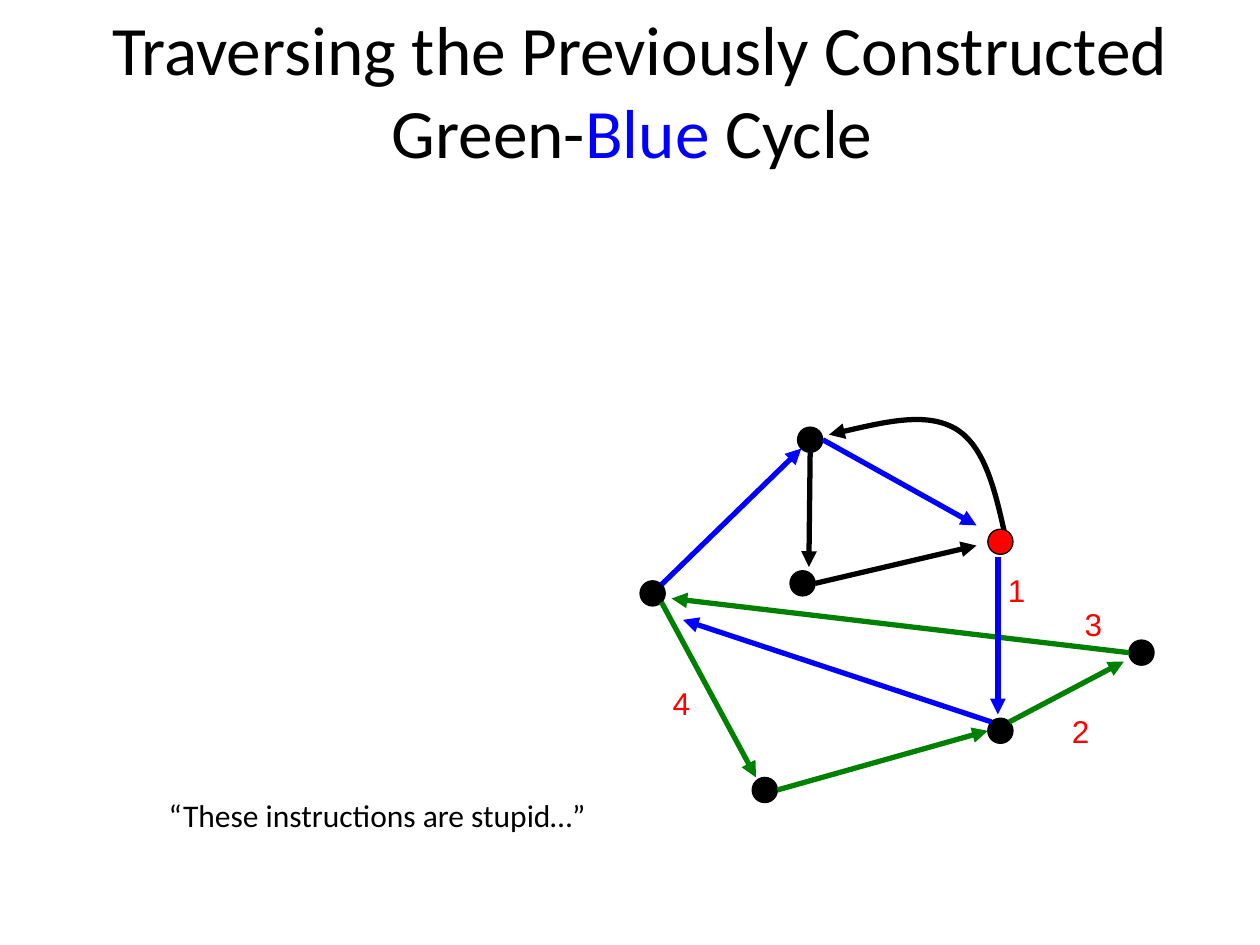
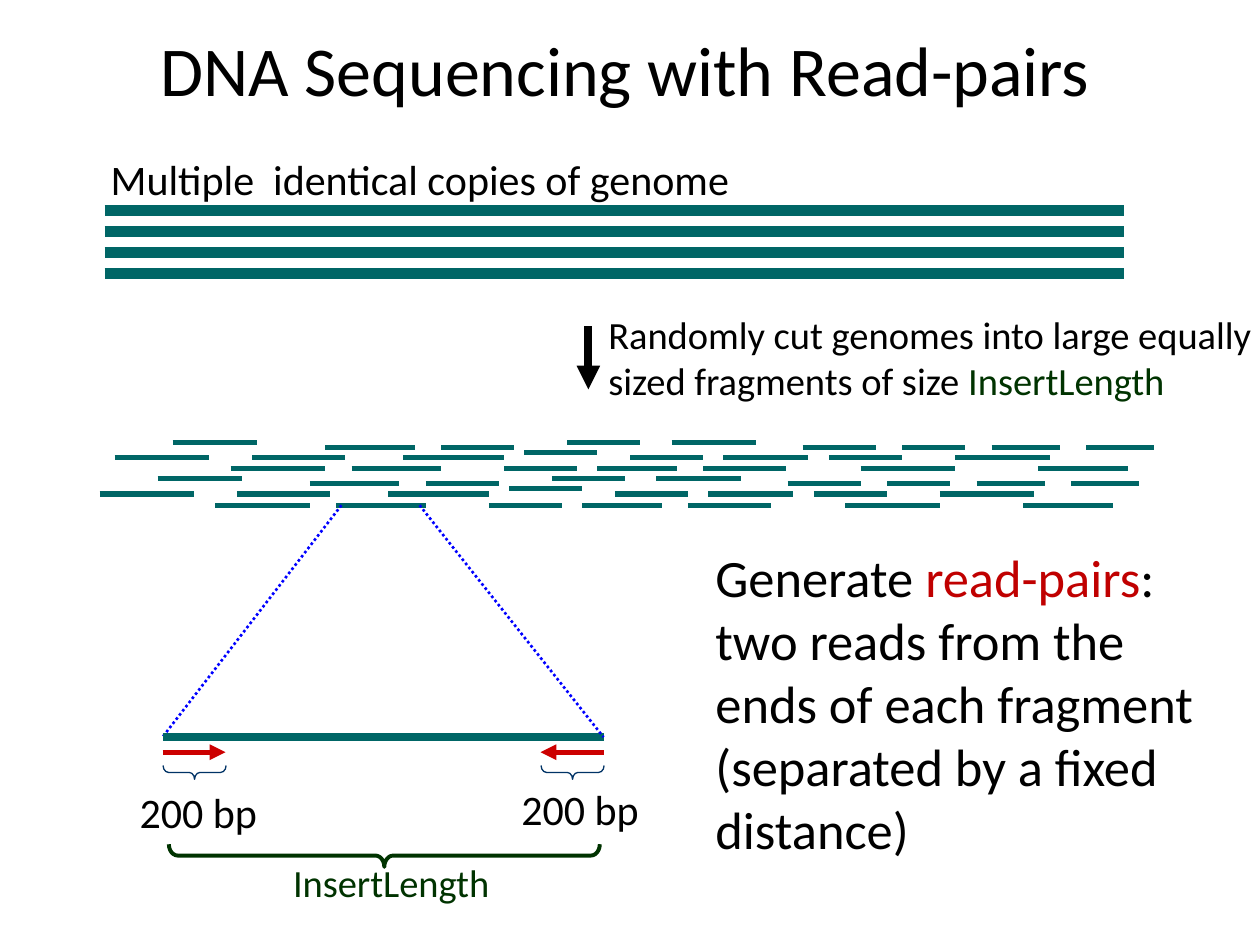
from lxml.etree import SubElement
from pptx import Presentation
from pptx.dml.color import RGBColor
from pptx.enum.dml import MSO_LINE
from pptx.enum.shapes import MSO_CONNECTOR, MSO_SHAPE
from pptx.enum.text import MSO_ANCHOR, PP_ALIGN
from pptx.oxml.ns import qn
from pptx.util import Inches, Pt

BLACK = RGBColor(0x00, 0x00, 0x00)
RED = RGBColor(0xFF, 0x00, 0x00)
GREEN = RGBColor(0x00, 0x80, 0x00)
BLUE = RGBColor(0x00, 0x00, 0xFF)
TEAL = RGBColor(0x00, 0x66, 0x66)
CRIMSON = RGBColor(0xC0, 0x00, 0x00)
READ_RED = RGBColor(0xCC, 0x00, 0x00)
NAVY = RGBColor(0x00, 0x33, 0x66)
DARK_GREEN = RGBColor(0x00, 0x33, 0x00)
TITLE = dict(align=PP_ALIGN.CENTER, anchor=MSO_ANCHOR.MIDDLE)


def add_text(s, box, runs, size, font="Calibri", color=BLACK, wrap=True,
             align=PP_ALIGN.LEFT, anchor=MSO_ANCHOR.TOP):
    tf = s.shapes.add_textbox(*map(Inches, box)).text_frame
    tf.word_wrap = wrap
    tf.vertical_anchor = anchor
    p = tf.paragraphs[0]
    p.alignment = align
    for text, run_color in [(runs, color)] if isinstance(runs, str) else runs:
        r = p.add_run()
        r.text = text
        r.font.name = font
        r.font.size = Pt(size)
        r.font.color.rgb = run_color


def add_line(s, start, end, color, width=3, arrow=False, dash=None):
    line = s.shapes.add_connector(MSO_CONNECTOR.STRAIGHT, *map(Inches, start + end))
    line.line.color.rgb = color
    line.line.width = Pt(width)
    if dash:
        line.line.dash_style = dash
    if arrow:
        SubElement(line.line._get_or_add_ln(), qn("a:tailEnd"), type="triangle")
    SubElement(line._element.spPr, qn("a:effectLst"))


prs = Presentation()
prs.slide_width = Inches(10)
prs.slide_height = Inches(7.5)
blank = prs.slide_layouts[6]

s = prs.slides.add_slide(blank)

arc = [(7.98, 4.26), (7.9, 3.9), (7.82, 3.54), (7.58, 3.4),
       (7.35, 3.27), (6.97, 3.36), (6.58, 3.45)]
points = [(Inches(x), Inches(y)) for x, y in arc]
builder = s.shapes.build_freeform(*points[0])
builder.add_line_segments(points[1:], close=False)
sp = builder.convert_to_shape()
sp.shadow.inherit = False
sp.fill.background()
sp.line.color.rgb = BLACK
sp.line.width = Pt(3)
SubElement(sp.line._get_or_add_ln(), qn("a:tailEnd"), type="triangle")
curve = next(sp._element.iter(qn("a:path")))
segments = curve.findall(qn("a:lnTo"))
for i in range(0, len(segments), 3):
    bezier = SubElement(curve, qn("a:cubicBezTo"))
    for segment in segments[i:i + 3]:
        bezier.append(segment[0])
        curve.remove(segment)

nodes = [(6.33, 3.39, BLACK), (7.84, 4.2, RED), (8.96, 5.08, BLACK), (7.84, 5.7, BLACK),
         (5.97, 6.17, BLACK), (6.27, 4.53, BLACK), (5.08, 4.61, BLACK)]
for x, y, color in nodes:
    sp = s.shapes.add_shape(MSO_SHAPE.OVAL, Inches(x), Inches(y), Inches(0.2), Inches(0.2))
    sp.shadow.inherit = False
    sp.fill.solid()
    sp.fill.fore_color.rgb = color
    sp.line.color.rgb = BLACK
    sp.line.width = Pt(0.75)

edges = [
    ((6.43, 3.59), (6.42, 4.5), BLACK),
    ((6.47, 4.63), (7.75, 4.33), BLACK),
    ((6.17, 6.27), (7.84, 5.8), GREEN),
    ((8.01, 5.73), (8.92, 5.25), GREEN),
    ((8.96, 5.18), (5.33, 4.75), GREEN),
    ((5.25, 4.78), (6, 6.17), GREEN),
    ((7.87, 5.73), (5.42, 4.92), BLUE),
    ((5.25, 4.64), (6.36, 3.56), BLUE),
    ((6.53, 3.49), (7.75, 4.17), BLUE),
    ((7.92, 4.42), (7.92, 5.67), BLUE),
]
for start, end, color in edges:
    add_line(s, start, end, color, arrow=True)

for step, x, y in [("1", 7.9, 4.48), ("2", 8.41, 5.6), ("3", 8.51, 4.75), ("4", 5.24, 5.38)]:
    add_text(s, (x, y, 0.34, 0.4), step, 18, font="Arial", color=RED, wrap=False)

add_text(s, (1.24, 6.27, 4.95, 0.51), "“These instructions are stupid…”", 18)
add_text(s, (0.58, 0.08, 9, 1.25),
         [("Traversing the Previously Constructed Green-", BLACK), ("Blue", BLUE),
          (" Cycle ", BLACK)], 39.6, **TITLE)

s = prs.slides.add_slide(blank)
add_text(s, (0.22, -0.08, 9.48, 1.25), "DNA Sequencing with Read-pairs", 40, **TITLE)

add_text(s, (0.78, 1.17, 6.51, 0.5), "Multiple  identical copies of genome", 24)
for i in range(4):
    y = 1.67 + i / 6
    add_line(s, (0.83, y), (8.92, y), TEAL, width=6)

add_line(s, (4.67, 2.59), (4.67, 3.09), BLACK, width=4.5, arrow=True)
add_text(s, (4.73, 2.42, 5.37, 1.21),
         [("Randomly cut genomes into large equally sized fragments of size ", BLACK),
          ("InsertLength", DARK_GREEN)], 22)

fragment_rows = {
    3.8: [(1.25, 1.92), (4.38, 4.96), (5.21, 5.88)],
    3.84: [(2.46, 3.17), (3.38, 3.96), (6.25, 6.83), (7.04, 7.54), (7.29, 7.54),
           (7.75, 8.29), (8.5, 9.04)],
    3.88: [(4.04, 4.62)],
    3.92: [(0.79, 1.54), (1.88, 2.62), (3.08, 3.88), (4.88, 5.46), (5.62, 6.29),
           (6.46, 7.04), (7.46, 8.21)],
    4.01: [(1.71, 2.46), (2.67, 3.38), (3.88, 4.46), (4.62, 5.25), (5.46, 6.12),
           (6.71, 7.46), (8.12, 8.83)],
}
for dx, dy in [(0, 0), (0.12, -0.29)]:
    for y, spans in fragment_rows.items():
        for left, right in spans:
            add_line(s, (left + dx, y + dy), (right + dx, y + dy), TEAL)

add_line(s, (2.71, 4.01), (1.29, 5.85), BLUE, width=1.5, dash=MSO_LINE.ROUND_DOT)
add_line(s, (1.29, 5.85), (4.79, 5.85), TEAL, width=4.5)
add_line(s, (3.33, 4.01), (4.79, 5.85), BLUE, width=1.5, dash=MSO_LINE.ROUND_DOT)

for start, end in [(1.29, 1.79), (4.79, 4.29)]:
    add_line(s, (start, 5.97), (end, 5.97), READ_RED, arrow=True)
for x, y in [(1.01, 6.19), (4.04, 6.17)]:
    add_text(s, (x, y, 1.14, 0.5), "200 bp", 24, wrap=False)

braces = [((1.49, 5.88, 0.11, 0.5), NAVY, 0.75), ((4.49, 5.88, 0.11, 0.5), NAVY, 0.75),
          ((2.96, 5.08, 0.18, 3.42), DARK_GREEN, 2.25)]
for box, color, width in braces:
    sp = s.shapes.add_shape(MSO_SHAPE.LEFT_BRACE, *map(Inches, box))
    sp.shadow.inherit = False
    sp.rotation = 270
    sp.adjustments[0] = 0.39
    sp.fill.background()
    sp.line.color.rgb = color
    sp.line.width = Pt(width)
add_text(s, (2.14, 6.77, 1.93, 0.47), "InsertLength", 22, color=DARK_GREEN,
         align=PP_ALIGN.CENTER)

add_text(s, (5.58, 4.28, 4.14, 2.63),
         [("Generate ", BLACK), ("read-pairs", CRIMSON),
          (": two reads from the ends of each fragment (separated by a fixed distance)", BLACK)],
         30)

prs.save("out.pptx")
